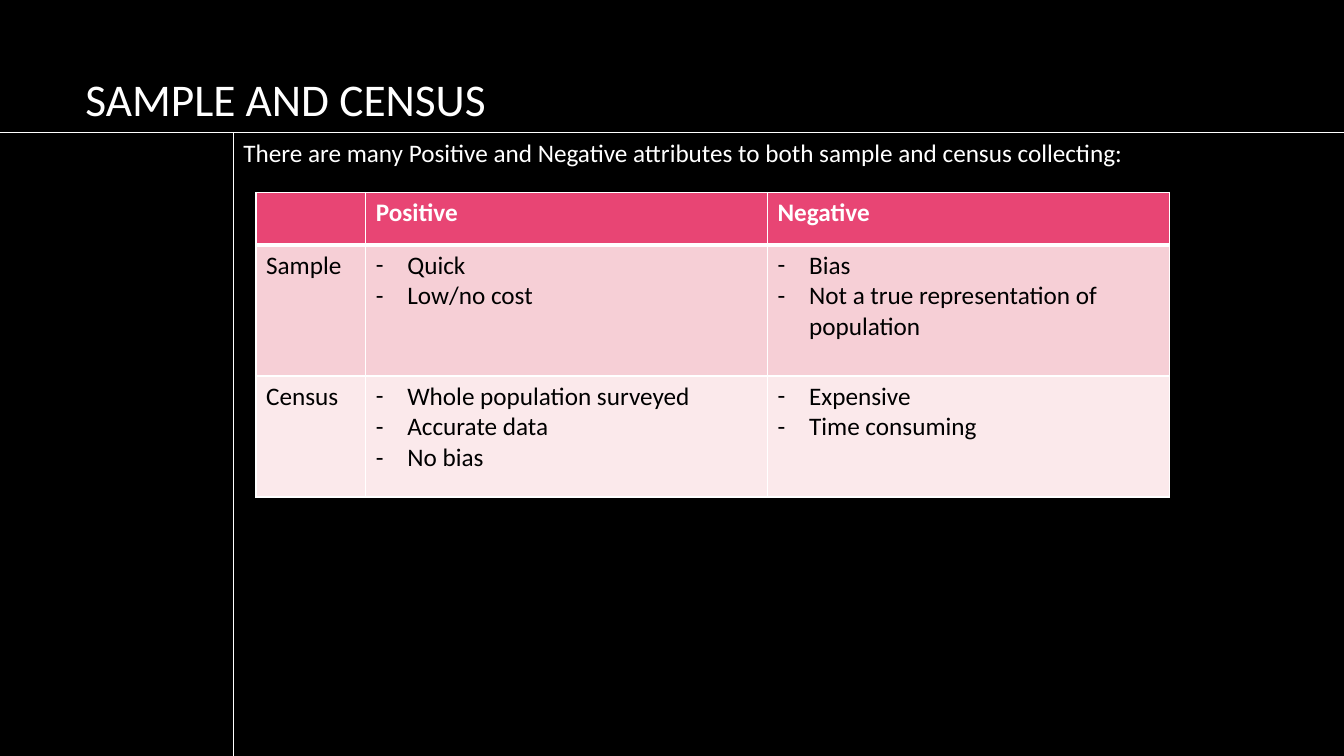
from lxml import etree
from pptx import Presentation
from pptx.dml.color import RGBColor
from pptx.enum.shapes import MSO_CONNECTOR
from pptx.enum.text import MSO_ANCHOR
from pptx.oxml.ns import qn
from pptx.util import Pt

STRAIGHT = MSO_CONNECTOR.STRAIGHT
MIDDLE = MSO_ANCHOR.MIDDLE
TOP = MSO_ANCHOR.TOP
COLORS = {"black": "000000", "white": "FFFFFF", "head": "E84574",
          "odd": "F6CFD6", "even": "FBE9EB"}


def color(name):
    return RGBColor.from_string(COLORS[name])


def write(para, text, size, tone, bold=False):
    run = para.add_run()
    run.text = text
    run.font.name = "Calibri"
    run.font.size = Pt(size)
    run.font.bold = bold
    run.font.color.rgb = color(tone)


deck = Presentation()
deck.slide_width, deck.slide_height = Pt(960), Pt(540)
slide = deck.slides.add_slide(deck.slide_layouts[6])
slide.background.fill.solid()
slide.background.fill.fore_color.rgb = color("black")

texts = [
    ("SAMPLE AND CENSUS", 32.4, MIDDLE, (54, 48.2, 798, 44.6)),
    ("There are many Positive and Negative attributes to both sample and "
     "census collecting:", 18, TOP, (166.8, 94.4, 793.2, 204)),
]
for text, size, anchor, area in texts:
    frame = slide.shapes.add_textbox(*map(Pt, area)).text_frame
    frame.word_wrap = True
    frame.vertical_anchor = anchor
    write(frame.paragraphs[0], text, size, "white")

for ends in [(0, 94.4, 960, 94.4), (166.8, 94.4, 166.8, 540)]:
    rule = slide.shapes.add_connector(STRAIGHT, *map(Pt, ends))
    rule.line.color.rgb = color("white")
    rule.line.width = Pt(0.75)
    etree.SubElement(rule._element.spPr, qn("a:effectLst"))

rows = [
    ("head", 37.5, [[], ["Positive"], ["Negative"]]),
    ("odd", 93.6, [["Sample"], ["Quick", "Low/no cost"],
                   ["Bias", "Not a true representation of population"]]),
    ("even", 86.4, [["Census"],
                    ["Whole population surveyed", "Accurate data", "No bias"],
                    ["Expensive", "Time consuming"]]),
]
widths = [78.4, 287, 287]
total = sum(height for _, height, _ in rows)
table = slide.shapes.add_table(3, 3, Pt(182.9), Pt(137.5),
                               Pt(sum(widths)), Pt(total)).table
for col, width in zip(table.columns, widths):
    col.width = Pt(width)

for r, (tone, height, cells) in enumerate(rows):
    table.rows[r].height = Pt(height)
    head = r == 0
    for c, lines in enumerate(cells):
        cell = table.cell(r, c)
        cell.fill.solid()
        cell.fill.fore_color.rgb = color(tone)
        props = cell._tc.tcPr
        for i, side in enumerate("LRTB"):
            thick = (head and side == "B") or (r == 1 and side == "T")
            edge = etree.Element(qn("a:ln" + side), w=str(Pt(3 if thick else 1)))
            fill = etree.SubElement(edge, qn("a:solidFill"))
            etree.SubElement(fill, qn("a:srgbClr"), val=COLORS["white"])
            props.insert(i, edge)
        frame = cell.text_frame
        for i, line in enumerate(lines):
            para = frame.add_paragraph() if i else frame.paragraphs[0]
            if c and not head:
                form = para._p.get_or_add_pPr()
                form.set("marL", str(Pt(22.5)))
                form.set("indent", str(Pt(-22.5)))
                etree.SubElement(form, qn("a:buFont"), typeface="Calibri")
                etree.SubElement(form, qn("a:buChar"), char="-")
            write(para, line, 18, "white" if head else "black", head)

deck.save("out.pptx")
